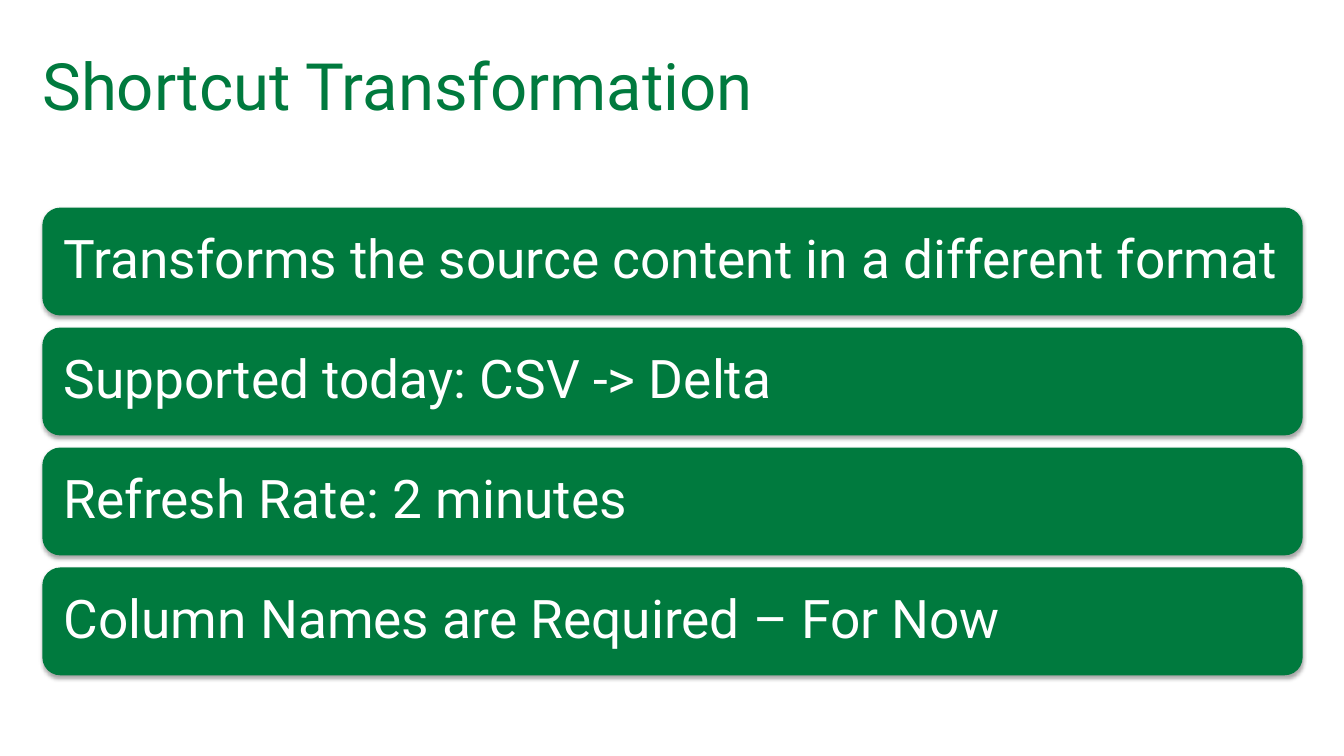
from lxml.etree import SubElement as Sub
from pptx import Presentation as Deck
from pptx.dml.color import RGBColor as Rgb
from pptx.enum.shapes import MSO_SHAPE as Kind
from pptx.enum.text import MSO_ANCHOR as Anchor, MSO_AUTO_SIZE as Fit, PP_ALIGN as Align
from pptx.oxml.ns import qn
from pptx.util import Inches, Pt

GREEN = "007A3E"
WHITE = "FFFFFF"
LEFT, WIDTH = 0.42, 12.5
TOP, HIGH, GAP = 2.06, 1.07, 0.12
FACTS = [
    "Transforms the source content in a different format",
    "Supported today: CSV -> Delta",
    "Refresh Rate: 2 minutes",
    "Column Names are Required – For Now",
]


def color(code):
    return Rgb.from_string(code)


def apply(item, values):
    for name, value in values.items():
        setattr(item, name, value)


def write(shape, text, size, code, inset, spacing):
    frame = shape.text_frame
    frame.text = text
    pad = Inches(inset)
    apply(frame, {
        "word_wrap": True, "auto_size": Fit.NONE, "vertical_anchor": Anchor.MIDDLE,
        "margin_left": pad, "margin_top": pad, "margin_right": pad, "margin_bottom": pad,
    })
    para = frame.paragraphs[0]
    apply(para, {"alignment": Align.LEFT, "line_spacing": spacing})
    font = para.runs[0].font
    apply(font, {"name": "Roboto", "size": Pt(size)})
    font.color.rgb = color(code)


def shade(shape):
    shape.shadow.inherit = False
    effects = shape._element.spPr.find(qn("a:effectLst"))
    outer = Sub(effects, qn("a:outerShdw"), blurRad=str(Pt(3.1)), dist=str(Pt(1.8)),
                dir="5400000", rotWithShape="0")
    tint = Sub(outer, qn("a:srgbClr"), val="000000")
    Sub(tint, qn("a:alpha"), val="35000")


def add_title(slide, text):
    title = slide.shapes.title
    apply(title, {"left": Inches(LEFT), "top": Inches(0.42),
                  "width": Inches(WIDTH), "height": Inches(0.83)})
    write(title, text, 46.6, GREEN, 0, 1.0)


def add_bar(slide, top, text):
    bar = slide.shapes.add_shape(Kind.ROUNDED_RECTANGLE, Inches(LEFT), Inches(top),
                                 Inches(WIDTH), Inches(HIGH))
    bar.fill.solid()
    bar.fill.fore_color.rgb = color(GREEN)
    bar.line.fill.background()
    shade(bar)
    write(bar, text, 38, WHITE, 0.16, 0.9)


def main():
    deck = Deck()
    apply(deck, {"slide_width": Inches(13.33), "slide_height": Inches(7.5)})
    slide = deck.slides.add_slide(deck.slide_layouts[5])
    add_title(slide, "Shortcut Transformation")
    for row, fact in enumerate(FACTS):
        add_bar(slide, TOP + row * (HIGH + GAP), fact)
    deck.save("out.pptx")


if __name__ == "__main__":
    main()
